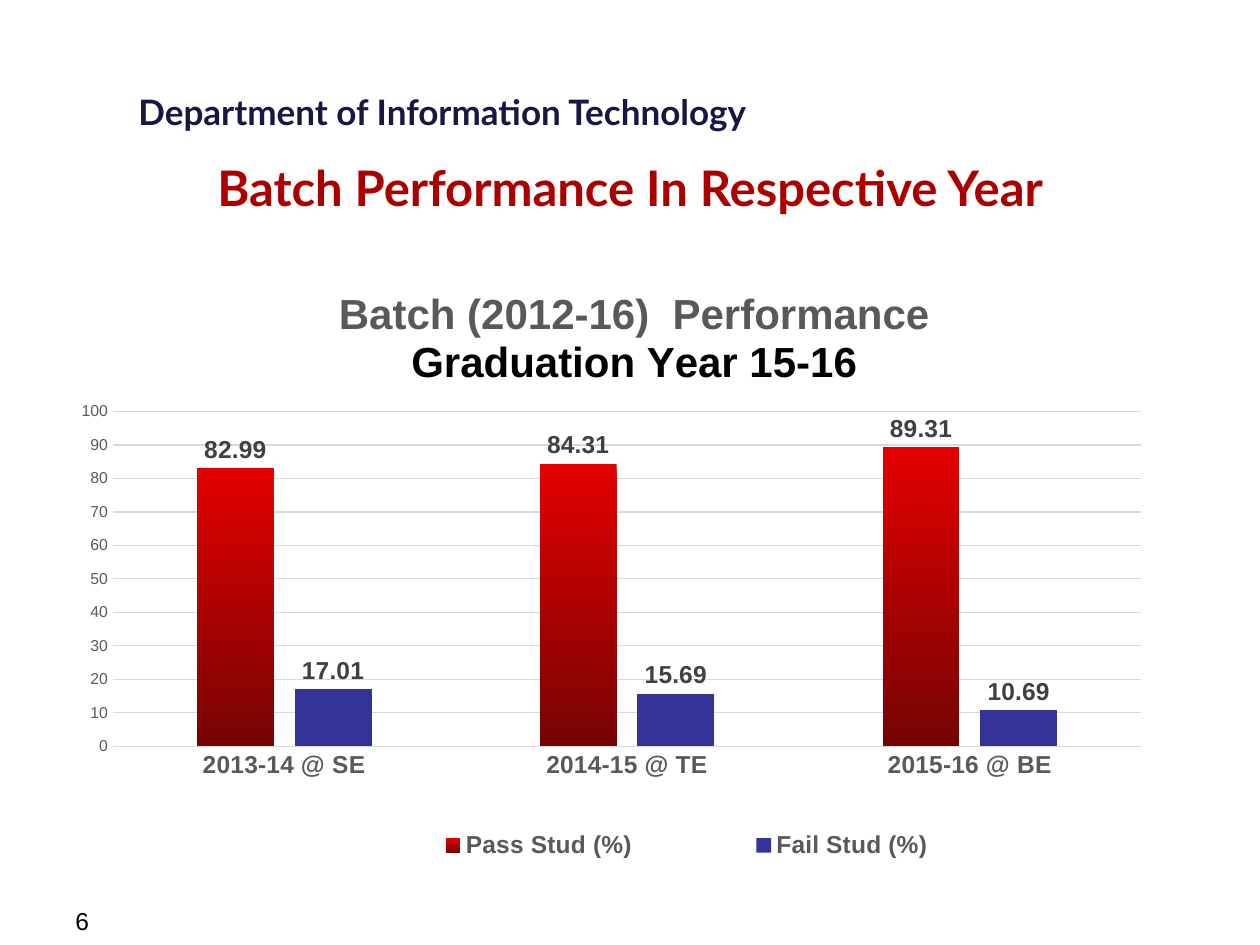
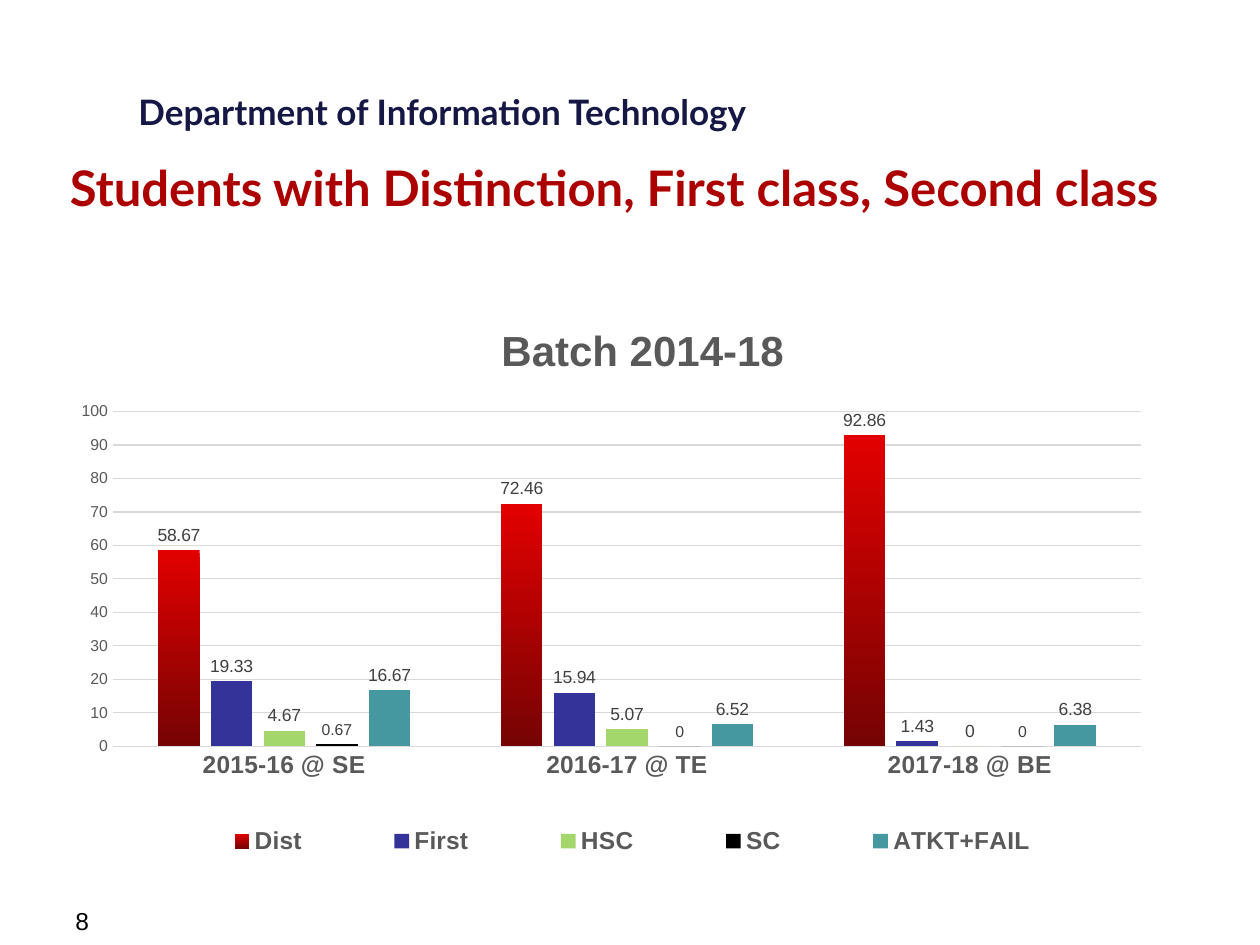
from lxml import etree
from pptx import Presentation
from pptx import util as u
from pptx.chart import data
from pptx.dml import color
from pptx.enum import chart as charts, text
from pptx.oxml import ns

NAVY, RED, BLACK = "171745", "AC0000", "000000"
GREY, LABEL_GREY, LINE_GREY = "595959", "404040", "D9D9D9"
BAR_RED = ("E30000", "760303")
BAR_BLUE, BAR_GREEN, BAR_TEAL = "333399", "A4D76B", "4597A0"


def rgb(value):
    return color.RGBColor.from_string(value)


def style_font(font, size, fill=BLACK, bold=False, name="Arial"):
    font.size = u.Pt(size)
    font.bold = bold
    font.name = name
    font.color.rgb = rgb(fill)


def write(paragraph, content, align=None, **font_format):
    run = paragraph.add_run()
    run.text = content
    style_font(run.font, **font_format)
    if align is not None:
        paragraph.alignment = align


def paint(fill, colors):
    if isinstance(colors, str):
        fill.solid()
        fill.fore_color.rgb = rgb(colors)
        return
    fill.gradient()
    fill.gradient_angle = 270
    for stop, value in zip(fill.gradient_stops, colors):
        stop.color.rgb = rgb(value)


def set_layout(chart, tag, index, inner=False, **edges):
    parent = next(chart.element.iter(ns.qn(tag)))
    for old in parent.findall(ns.qn("c:layout")):
        parent.remove(old)
    layout = etree.Element(ns.qn("c:layout"))
    manual = etree.SubElement(layout, ns.qn("c:manualLayout"))
    settings = {"layoutTarget": "inner"} if inner else {}
    settings.update(xMode="edge", yMode="edge", **edges)
    for name, value in settings.items():
        etree.SubElement(manual, ns.qn("c:" + name)).set("val", str(value))
    parent.insert(index, layout)


class Deck:
    def __init__(self):
        self.presentation = Presentation()
        self.presentation.slide_width = u.Inches(10)
        self.presentation.slide_height = u.Inches(7.5)
        self.layout = self.presentation.slide_layouts[5]
        self.slide = None

    def add_slide(self, title, left, width, number):
        self.slide = self.presentation.slides.add_slide(self.layout)
        if len(self.presentation.slides) == 1:
            self.add_department()
        self.add_title(title, left, width)
        self.add_text(str(number), 0.5, 7.14, 2.33, 0.27, size=14)

    def add_text(self, content, left, top, width, height, wrap=True, **font_format):
        box = self.slide.shapes.add_textbox(*map(u.Inches, (left, top, width, height)))
        box.text_frame.word_wrap = wrap
        write(box.text_frame.paragraphs[0], content, **font_format)
        return box

    def add_department(self):
        box = self.add_text("Department of Information Technology", 1, 0.67, 5.35, 0.44,
                            wrap=False, size=20, fill=NAVY, bold=True, name="Lato")
        self.layout.shapes.element.append(box.element)

    def add_title(self, content, left, width):
        title = self.slide.shapes.title
        title.left, title.top = u.Inches(left), u.Inches(1.2)
        title.width, title.height = u.Inches(width), u.Inches(0.48)
        frame = title.text_frame
        frame.auto_size = text.MSO_AUTO_SIZE.NONE
        frame.vertical_anchor = text.MSO_ANCHOR.TOP
        write(frame.paragraphs[0], content, align=text.PP_ALIGN.CENTER,
              size=28, fill=RED, bold=True, name="Lato")

    def add_chart(self, title_lines, title_edges, legend_edges, categories, series_list):
        chart_data = data.CategoryChartData()
        chart_data.categories = categories
        for name, values, *_ in series_list:
            chart_data.add_series(name, values)
        chart = self.slide.shapes.add_chart(
            charts.XL_CHART_TYPE.COLUMN_CLUSTERED,
            *map(u.Inches, (0.5, 2.17, 9, 4.83)), chart_data).chart
        style_font(chart.font, 10)
        self.style_chart_title(chart, title_lines)
        self.style_axes(chart)
        self.style_series(chart.plots[0], series_list)
        chart.has_legend = True
        chart.legend.position = charts.XL_LEGEND_POSITION.RIGHT
        chart.legend.include_in_layout = False
        style_font(chart.legend.font, 14, GREY, bold=True)
        set_layout(chart, "c:title", 1, **title_edges)
        set_layout(chart, "c:legend", 1, **legend_edges)
        set_layout(chart, "c:plotArea", 0, inner=True, x=0.044, y=0.227, w=0.907, h=0.55)

    def style_chart_title(self, chart, title_lines):
        chart.has_title = True
        frame = chart.chart_title.text_frame
        for index, (line, fill) in enumerate(title_lines):
            paragraph = frame.add_paragraph() if index else frame.paragraphs[0]
            write(paragraph, line, size=24, fill=fill, bold=True)

    def style_axes(self, chart):
        category_axis, value_axis = chart.category_axis, chart.value_axis
        for axis in (category_axis, value_axis):
            axis.major_tick_mark = axis.minor_tick_mark = charts.XL_TICK_MARK.NONE
        style_font(category_axis.tick_labels.font, 14, GREY, bold=True)
        style_font(value_axis.tick_labels.font, 9, GREY)
        value_axis.minimum_scale, value_axis.maximum_scale = 0, 100
        value_axis.major_unit = 10
        value_axis.has_major_gridlines = True
        value_axis.format.line.fill.background()
        for line in (category_axis.format.line, value_axis.major_gridlines.format.line):
            line.color.rgb = rgb(LINE_GREY)
            line.width = u.Pt(0.75)

    def style_series(self, plot, series_list):
        plot.gap_width, plot.overlap = 219, -27
        plot.vary_by_categories = False
        for series, (_, _, colors, size, bold) in zip(plot.series, series_list):
            series.invert_if_negative = False
            paint(series.format.fill, colors)
            labels = series.data_labels
            labels.show_value = True
            labels.position = charts.XL_LABEL_POSITION.OUTSIDE_END
            style_font(labels.font, size, LABEL_GREY, bold)


def main():
    deck = Deck()
    deck.add_slide("Batch Performance In Respective Year", 0.5, 9, 6)
    deck.add_chart(
        [("Batch (2012-16)  Performance", GREY), ("Graduation Year 15-16", BLACK)],
        {"x": 0.24, "y": 0.02}, {"x": 0.235, "y": 0.89, "w": 0.63, "h": 0.1},
        ["2013-14 @ SE", "2014-15 @ TE", "2015-16 @ BE"],
        [("Pass Stud (%)", (82.99, 84.31, 89.31), BAR_RED, 14, True),
         ("Fail Stud (%)", (17.01, 15.69, 10.69), BAR_BLUE, 14, True)])

    deck.add_slide("Students with Distinction, First class, Second class ", 0.17, 9.5, 8)
    deck.add_chart(
        [("Batch 2014-18", GREY)],
        {"x": 0.38, "y": 0.07}, {"x": 0.077, "y": 0.883, "w": 0.85, "h": 0.1},
        ["2015-16 @ SE", "2016-17 @ TE", "2017-18 @ BE"],
        [("Dist", (58.67, 72.46, 92.86), BAR_RED, 10, False),
         ("First", (19.33, 15.94, 1.43), BAR_BLUE, 10, False),
         ("HSC", (4.67, 5.07, 0), BAR_GREEN, 10, False),
         ("SC", (0.67, 0, 0), BLACK, 9, False),
         ("ATKT+FAIL", (16.67, 6.52, 6.38), BAR_TEAL, 10, False)])
    deck.presentation.save("out.pptx")


if __name__ == "__main__":
    main()
